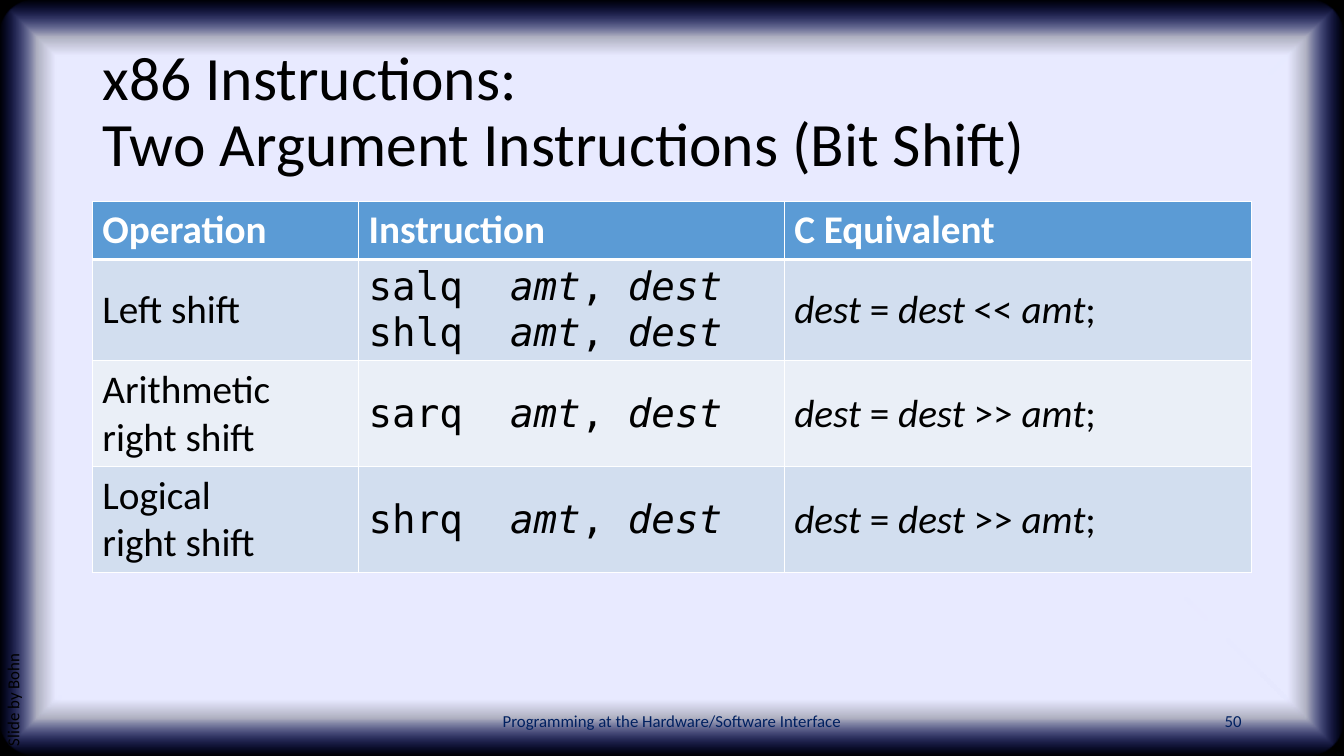
from lxml import etree
from pptx import Presentation
from pptx.dml.color import RGBColor
from pptx.enum.shapes import MSO_SHAPE
from pptx.enum.text import MSO_ANCHOR, MSO_AUTO_SIZE, PP_ALIGN
from pptx.oxml import parse_xml
from pptx.oxml.ns import nsdecls, qn
from pptx.util import Pt

MIDDLE, TOP = MSO_ANCHOR.MIDDLE, MSO_ANCHOR.TOP
LEFT, CENTER, RIGHT = PP_ALIGN.LEFT, PP_ALIGN.CENTER, PP_ALIGN.RIGHT
RECTANGLE, ROUNDED = MSO_SHAPE.RECTANGLE, MSO_SHAPE.ROUNDED_RECTANGLE
NO_AUTOFIT = MSO_AUTO_SIZE.NONE

SLIDE_WIDTH, SLIDE_HEIGHT = 960, 540
SANS, MONO = "Calibri", "DejaVu Sans Mono"
BLACK, WHITE, NAVY = "000000", "FFFFFF", "002060"
HEADER_FILL, BAND_FILLS = "5B9BD5", ("D2DEEF", "EAEFF7")

# Position, colour and opacity, all in percent
GLOW_STOPS = [(85, "E8EAFF", 100), (90, "E8EAFF", 75), (100, "162AFF", 0)]

COLUMN_WIDTHS = [190.2, 304, 333.8]
ROW_HEIGHTS = [41.4, 72, 75.6, 75.6]
HEADINGS = ["Operation", "Instruction", "C Equivalent"]
SHIFTS = [
    ("Left shift", "salq  *amt*, *dest*\nshlq  *amt*, *dest*", "*dest* = *dest* << *amt*;"),
    ("Arithmetic right shift", "sarq  *amt*, *dest*", "*dest* = *dest* >> *amt*;"),
    ("Logical\vright shift", "shrq  *amt*, *dest*", "*dest* = *dest* >> *amt*;"),
]


def rgb(value):
    return RGBColor.from_string(value)


def write(frame, content, color=BLACK, align=LEFT, spacing=None, **font):
    """Write paragraphs split by newlines, with *italic* parts and \\v line breaks."""
    for index, line in enumerate(content.split("\n")):
        paragraph = frame.add_paragraph() if index else frame.paragraphs[0]
        paragraph.alignment = align
        if spacing:
            paragraph.line_spacing = spacing
        for position, part in enumerate(line.split("*")):
            for row, words in enumerate(part.split("\v")):
                if row:
                    paragraph.add_line_break()
                if not words:
                    continue
                run = paragraph.add_run()
                run.text = words
                run.font.color.rgb = rgb(color)
                for name, value in font.items():
                    setattr(run.font, name, value)
                run.font.italic = position % 2 == 1


def add_backdrop(slide, left, top, width, height):
    box = [Pt(v) for v in (left, top, width, height)]
    border = slide.shapes.add_shape(RECTANGLE, *box)
    glow = slide.shapes.add_shape(ROUNDED, *box)
    glow.adjustments[0] = 0.05
    for panel in (border, glow):
        panel.shadow.inherit = False
        panel.fill.solid()
        panel.fill.fore_color.rgb = rgb(BLACK)
        panel.line.fill.background()
    stops = "".join(
        f'<a:gs pos="{place * 1000}"><a:srgbClr val="{color}">'
        f'<a:alpha val="{opacity * 1000}"/></a:srgbClr></a:gs>'
        for place, color, opacity in GLOW_STOPS)
    gradient = parse_xml(
        f'<a:gradFill {nsdecls("a")} rotWithShape="1"><a:gsLst>{stops}</a:gsLst>'
        '<a:path path="shape"><a:fillToRect l="50000" t="50000" r="50000" b="50000"/>'
        '</a:path></a:gradFill>')
    properties = glow.element.spPr
    properties.replace(properties.find(qn("a:solidFill")), gradient)


def set_title(slide, left, top, width, height):
    title = slide.shapes.title
    title.left, title.top, title.width, title.height = map(Pt, (left, top, width, height))
    frame = title.text_frame
    frame.auto_size = NO_AUTOFIT
    frame.vertical_anchor = MIDDLE
    write(frame, "x86 Instructions:\vTwo Argument Instructions (Bit Shift)",
          spacing=0.9, name=SANS, size=Pt(44))


def format_cell(cell, fill, bottom_width):
    properties = cell._tc.get_or_add_tcPr()
    for side, width in (("L", 1), ("R", 1), ("T", 1), ("B", bottom_width)):
        line = etree.SubElement(properties, qn(f"a:ln{side}"), w=str(Pt(width)))
        solid = etree.SubElement(line, qn("a:solidFill"))
        etree.SubElement(solid, qn("a:srgbClr"), val=WHITE)
    cell.fill.solid()
    cell.fill.fore_color.rgb = rgb(fill)


def add_shift_table(slide, left, top):
    table = slide.shapes.add_table(
        len(ROW_HEIGHTS), len(COLUMN_WIDTHS), Pt(left), Pt(top),
        Pt(sum(COLUMN_WIDTHS)), Pt(sum(ROW_HEIGHTS))).table
    for column, width in zip(table.columns, COLUMN_WIDTHS):
        column.width = Pt(width)
    for row, height in zip(table.rows, ROW_HEIGHTS):
        row.height = Pt(height)
    for r, entries in enumerate([HEADINGS, *SHIFTS]):
        header = r == 0
        for c, entry in enumerate(entries):
            cell = table.cell(r, c)
            format_cell(cell, HEADER_FILL if header else BAND_FILLS[(r - 1) % 2],
                        3 if header else 1)
            cell.vertical_anchor = TOP if header else MIDDLE
            write(cell.text_frame, entry, WHITE if header else BLACK, size=Pt(28),
                  bold=header, name=MONO if c == 1 and not header else SANS)


def add_label(slide, content, box, color, align=LEFT, anchor=MIDDLE, rotation=0, spacing=None):
    label = slide.shapes.add_textbox(*map(Pt, box))
    label.rotation = rotation
    label.text_frame.word_wrap = True
    label.text_frame.vertical_anchor = anchor
    write(label.text_frame, content, color, align, spacing, name=SANS, size=Pt(12))


def add_footer(slide, left, top, width, height):
    middle = 324
    add_label(slide, "Programming at the Hardware/Software Interface",
              (left + (width - middle) / 2, top, middle, height), NAVY, CENTER)
    add_label(slide, "50", (left + width - 216, top, 216, height), NAVY, RIGHT)


def add_credit(slide, left, bottom, length, thickness):
    """Place a label that reads upwards from the bottom of the left edge."""
    box = (left + (thickness - length) / 2, bottom - (length + thickness) / 2,
           length, thickness)
    add_label(slide, "Slide by Bohn", box, BLACK, anchor=TOP, rotation=270, spacing=0.9)


def main():
    deck = Presentation()
    deck.slide_width, deck.slide_height = Pt(SLIDE_WIDTH), Pt(SLIDE_HEIGHT)
    slide = deck.slides.add_slide(deck.slide_layouts[5])
    add_backdrop(slide, 0, 0, SLIDE_WIDTH, SLIDE_HEIGHT)
    # The title placeholder exists already, so bring it in front of the backdrop
    slide.shapes._spTree.append(slide.shapes.title.element)
    set_title(slide, 66, 28.8, 828, 104.4)
    add_shift_table(slide, 66, 144)
    add_footer(slide, 66, 500.5, 828, 28.8)
    add_credit(slide, 0, SLIDE_HEIGHT, 380, 28.8)
    deck.save("out.pptx")


if __name__ == "__main__":
    main()
